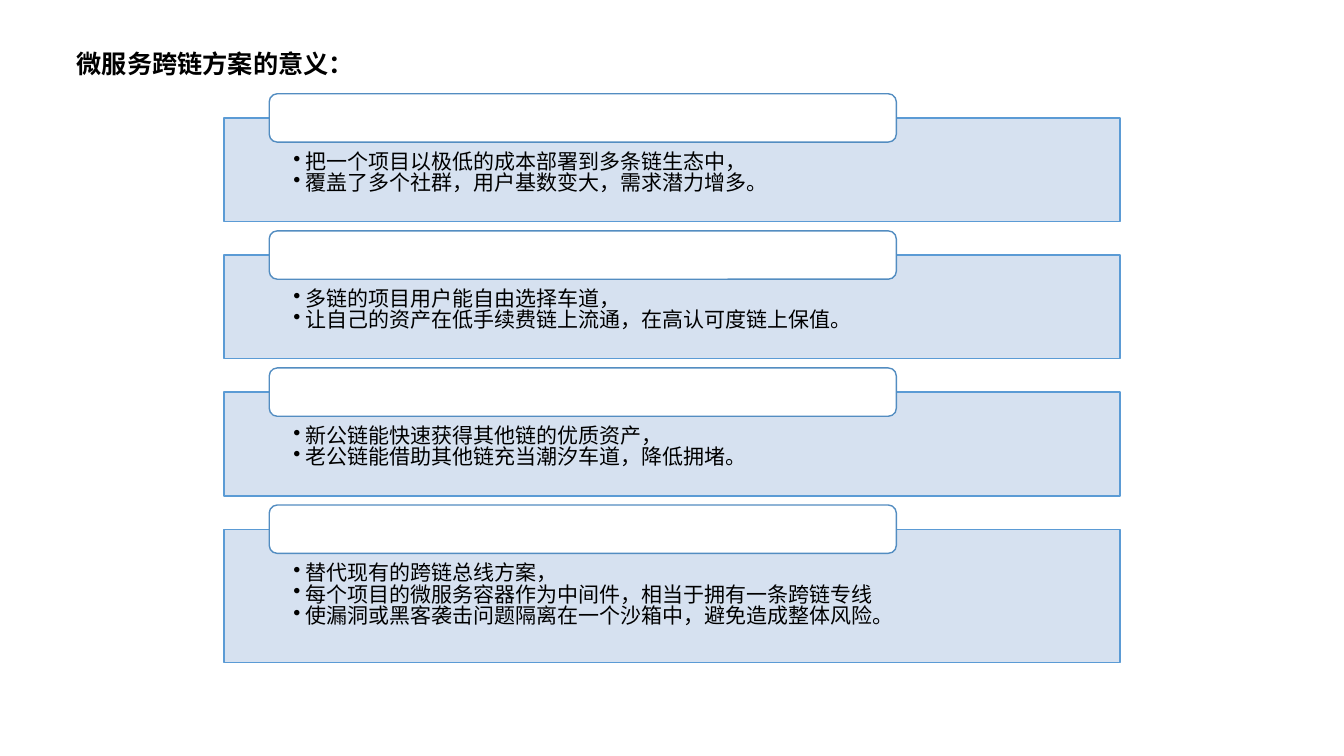
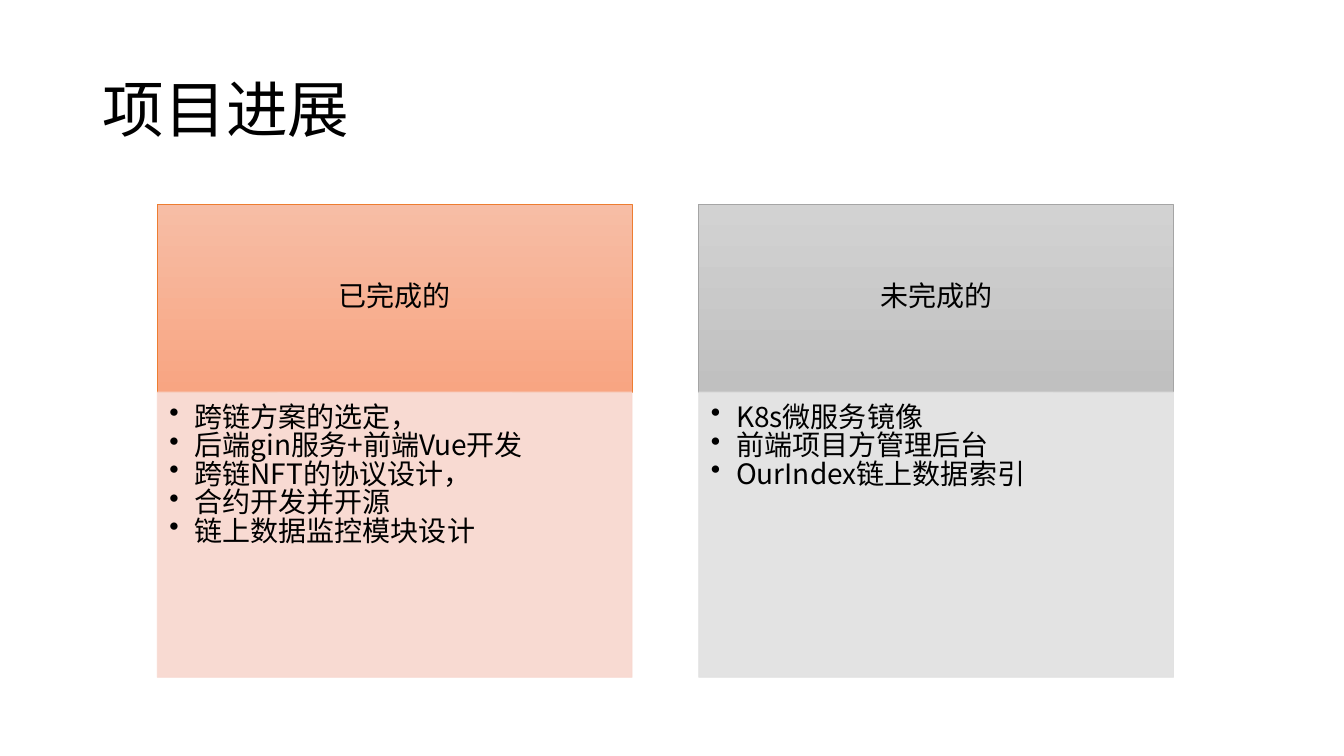
from dataclasses import dataclass

from lxml.etree import SubElement
from pptx import Presentation
from pptx.dml.color import RGBColor
from pptx.enum.shapes import MSO_SHAPE
from pptx.enum.text import MSO_ANCHOR, MSO_AUTO_SIZE, PP_ALIGN
from pptx.oxml.ns import qn
from pptx.util import Inches, Pt


@dataclass(frozen=True)
class Theme:
    font: str = "Noto Sans CJK SC"
    text: str = "000000"
    card: str = "D2DEEF"
    card_line: str = "5B9BD5"
    tab: str = "FFFFFF"
    tab_line: str = "538DC1"
    heading: int = 18
    title: int = 44
    card_text: int = 15
    column_text: int = 20
    spacing: float = 0.85
    heading_spacing: float = 0.94
    alpha: int = 90


THEME = Theme()

# Content
MEANING_TITLE = "微服务跨链方案的意义："
MEANINGS = [
    ["把一个项目以极低的成本部署到多条链生态中，",
     "覆盖了多个社群，用户基数变大，需求潜力增多。"],
    ["多链的项目用户能自由选择车道，",
     "让自己的资产在低手续费链上流通，在高认可度链上保值。"],
    ["新公链能快速获得其他链的优质资产，",
     "老公链能借助其他链充当潮汐车道，降低拥堵。"],
    ["替代现有的跨链总线方案，",
     "每个项目的微服务容器作为中间件，相当于拥有一条跨链专线",
     "使漏洞或黑客袭击问题隔离在一个沙箱中，避免造成整体风险。"],
]

PROGRESS_TITLE = "项目进展"
PROGRESS = [
    {"head": "已完成的", "shades": ("F7BDA5", "F8A582"), "line": "ED7D31", "body": "F8D7CE",
     "items": ["跨链方案的选定，", "后端gin服务+前端Vue开发", "跨链NFT的协议设计，",
               "合约开发并开源", "链上数据监控模块设计"]},
    {"head": "未完成的", "shades": ("D2D2D2", "C0C0C0"), "line": "A5A5A5", "body": "E1E1E1",
     "items": ["K8s微服务镜像", "前端项目方管理后台", "OurIndex链上数据索引"]},
]


# Shared helpers
def rgb(code):
    return RGBColor.from_string(code)


def set_text(tf, lines, size, align=PP_ALIGN.LEFT, spacing=THEME.spacing, bold=False, indent=None):
    """Fill a text frame; an indent in inches makes the lines bullets."""
    tf.text = "\n".join(lines)
    for p in tf.paragraphs:
        p.alignment = align
        p.line_spacing = spacing
        p.space_before = p.space_after = Pt(0)
        if indent:
            pPr = p._p.get_or_add_pPr()
            pPr.set("marL", str(Inches(indent)))
            pPr.set("indent", str(-Inches(indent)))
            SubElement(pPr, qn("a:buChar")).set("char", "•")
        for r in p.runs:
            r.font.name = THEME.font
            r.font.size = Pt(size)
            r.font.bold = bold
            r.font.color.rgb = rgb(THEME.text)
            SubElement(r._r.get_or_add_rPr(), qn("a:ea")).set("typeface", THEME.font)


def set_insets(tf, left, top, right, bottom):
    tf.margin_left, tf.margin_top = Inches(left), Inches(top)
    tf.margin_right, tf.margin_bottom = Inches(right), Inches(bottom)


def set_alpha(color_parent):
    for color in color_parent.iter(qn("a:srgbClr")):
        SubElement(color, qn("a:alpha")).set("val", str(THEME.alpha * 1000))


def add_box(s, box, line, width, fill=None, kind=MSO_SHAPE.RECTANGLE):
    sp = s.shapes.add_shape(kind, *(Inches(v) for v in box))
    sp.shadow.inherit = False
    if fill:
        sp.fill.solid()
        sp.fill.fore_color.rgb = rgb(fill)
    sp.line.color.rgb = rgb(line)
    sp.line.width = Pt(width)
    sp.text_frame.word_wrap = True
    sp.text_frame.vertical_anchor = MSO_ANCHOR.TOP
    return sp


def add_titled_slide(prs, text, box, size, anchor, **style):
    s = prs.slides.add_slide(prs.slide_layouts[5])
    title = s.shapes.title
    title.left, title.top, title.width, title.height = (Inches(v) for v in box)
    tf = title.text_frame
    tf.auto_size = MSO_AUTO_SIZE.NONE
    tf.vertical_anchor = anchor
    set_text(tf, [text], size, **style)
    tf.word_wrap = size == THEME.title
    return s


# Slide 1: stacked cards, each with a blank tab on its upper edge
def build_meaning(prs):
    s = add_titled_slide(prs, MEANING_TITLE, (0.66, 0.45, 2.98, 0.4), THEME.heading,
                         MSO_ANCHOR.TOP, spacing=THEME.heading_spacing, bold=True)
    left, top, width, gap = 2.22, 1.17, 8.89, 0.33
    for lines in MEANINGS:
        height = 0.45 + 0.29 * len(lines)
        card = add_box(s, (left, top, width, height), THEME.card_line, 1, THEME.card)
        set_alpha(card._element.spPr.find(qn("a:solidFill")))
        set_insets(card.text_frame, 0.69, 0.34, 0.69, 0.12)
        set_text(card.text_frame, lines, THEME.card_text, indent=0.12)
        add_box(s, (left + 0.45, top - 0.24, 6.22, 0.48), THEME.tab_line, 1, THEME.tab,
                MSO_SHAPE.ROUNDED_RECTANGLE)
        top += height + gap


# Slide 2: two columns with a graded head over a list
def build_progress(prs):
    s = add_titled_slide(prs, PROGRESS_TITLE, (0.92, 0.4, 11.5, 1.45), THEME.title,
                         MSO_ANCHOR.MIDDLE)
    top, width, gap, head_height, body_height = 2.03, 4.71, 0.66, 1.86, 2.83
    for i, column in enumerate(PROGRESS):
        left = 1.56 + i * (width + gap)
        head = add_box(s, (left, top, width, head_height), column["line"], 0.5)
        head.fill.gradient()
        head.fill.gradient_angle = 270
        for stop, shade in zip(head.fill.gradient_stops, column["shades"]):
            stop.color.rgb = rgb(shade)
        head.text_frame.vertical_anchor = MSO_ANCHOR.MIDDLE
        set_insets(head.text_frame, 0.16, 0.09, 0.16, 0.09)
        set_text(head.text_frame, [column["head"]], THEME.column_text, PP_ALIGN.CENTER)

        body = add_box(s, (left, top + head_height, width, body_height), column["body"], 0.5,
                       column["body"])
        set_alpha(body._element.spPr)
        set_insets(body.text_frame, 0.12, 0.12, 0.16, 0.17)
        set_text(body.text_frame, column["items"], THEME.column_text, indent=0.25)


def main():
    prs = Presentation()
    prs.slide_width, prs.slide_height = Inches(13.33), Inches(7.5)
    build_meaning(prs)
    build_progress(prs)
    prs.save("out.pptx")


if __name__ == "__main__":
    main()
